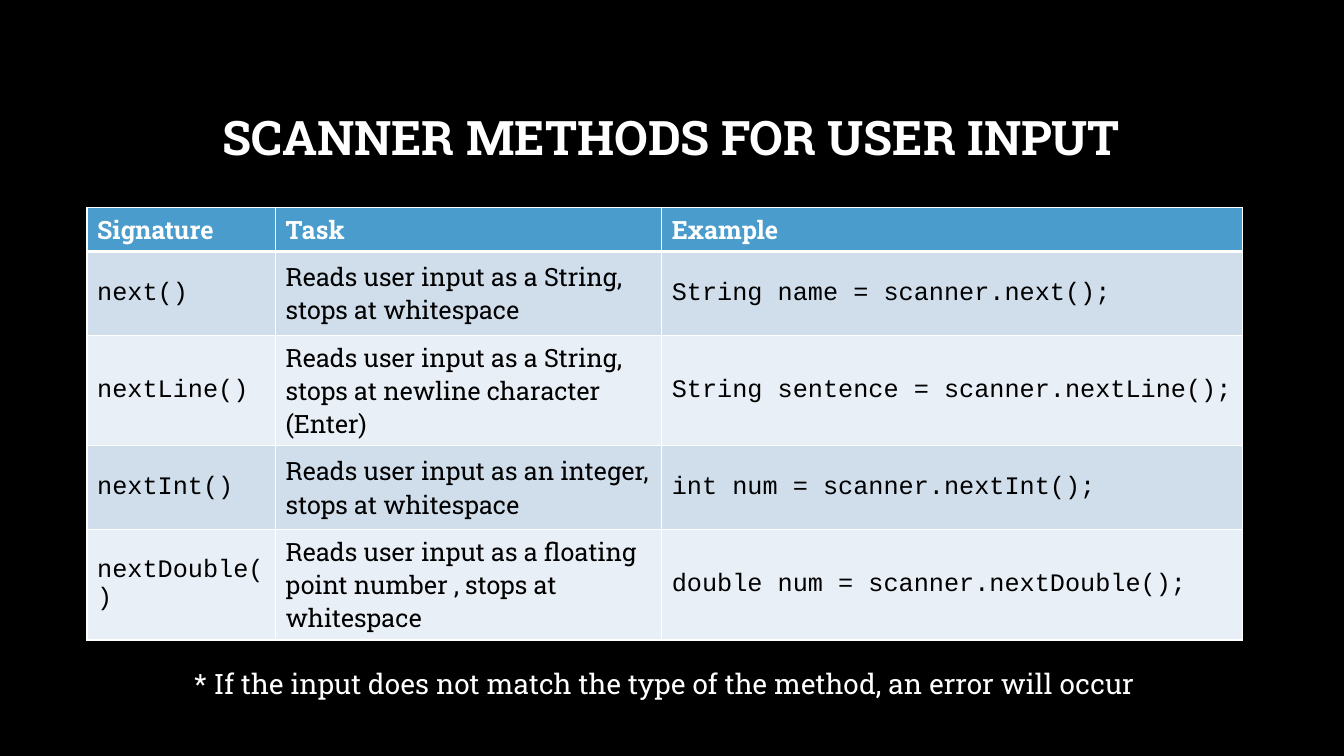
import pptx
import pptx.dml.color
import pptx.enum.text
import pptx.oxml
import pptx.oxml.ns
import pptx.util

SERIF, MONO = "Roboto Slab", "Courier New"
WHITE, BLACK = "FFFFFF", "000000"
HEADER_BLUE = "4A9CCC"
BANDS = ("D0DEEC", "E9EFF6")
MIDDLE = pptx.enum.text.MSO_ANCHOR.MIDDLE
TOP = pptx.enum.text.MSO_ANCHOR.TOP

# Row heights for a header, a two-line and a three-line description
HEADER_ROW, TWO_LINES, THREE_LINES = 5.8, 11.1, 14.6

METHODS = [
    ("Signature", "Task", "Example"),
    ("next()", "Reads user input as a String, stops at whitespace",
     "String name = scanner.next();"),
    ("nextLine()", "Reads user input as a String, stops at newline character (Enter)",
     "String sentence = scanner.nextLine();"),
    ("nextInt()", "Reads user input as an integer, stops at whitespace",
     "int num = scanner.nextInt();"),
    ("nextDouble()", "Reads user input as a floating point number , stops at whitespace",
     "double num = scanner.nextDouble();"),
]


def color(value):
    return pptx.dml.color.RGBColor.from_string(value)


def write(frame, text, size=18, font=SERIF, fill=WHITE, bold=False,
          align=None, line_spacing=None, space_before=None):
    frame.word_wrap = True
    paragraph = frame.paragraphs[0]
    paragraph.alignment = align
    paragraph.line_spacing = line_spacing
    if space_before is not None:
        paragraph.space_before = pptx.util.Pt(space_before)
    run = paragraph.add_run()
    run.text = text
    run.font.size = pptx.util.Pt(size)
    run.font.name = font
    run.font.bold = bold
    run.font.color.rgb = color(fill)


class SlideBuilder:
    """Places elements on a grid of 100 columns by 100 rows."""

    def __init__(self, presentation):
        self.column = presentation.slide_width / 100
        self.row = presentation.slide_height / 100
        self.slide = presentation.slides.add_slide(presentation.slide_layouts[6])
        background = self.slide.background.fill
        background.solid()
        background.fore_color.rgb = color(BLACK)

    def box(self, left, top, width, height):
        return (int(left * self.column), int(top * self.row),
                int(width * self.column), int(height * self.row))

    def text(self, text, left, top, width, height, anchor=TOP, **style):
        shape = self.slide.shapes.add_textbox(*self.box(left, top, width, height))
        shape.text_frame.vertical_anchor = anchor
        write(shape.text_frame, text, align=pptx.enum.text.PP_ALIGN.CENTER, **style)

    def borders(self, cell, **widths):
        properties = cell._tc.get_or_add_tcPr()
        for side in "LRTB":
            width = pptx.util.Pt(widths.get(side, 1))
            properties.append(pptx.oxml.parse_xml(
                f'<a:ln{side} {pptx.oxml.ns.nsdecls("a")} w="{width}"><a:solidFill>'
                f'<a:srgbClr val="{WHITE}"/></a:solidFill></a:ln{side}>'))

    def table(self, rows, left, top, widths, heights):
        frame = self.slide.shapes.add_table(
            len(rows), len(widths), *self.box(left, top, sum(widths), sum(heights)))
        table = frame.table
        for column, width in zip(table.columns, widths):
            column.width = int(width * self.column)
        for row, height in zip(table.rows, heights):
            row.height = int(height * self.row)
        for i, texts in enumerate(rows):
            for j, text in enumerate(texts):
                cell = table.cell(i, j)
                # The heavy rule runs between the header and the first method
                self.borders(cell, **{0: {"B": 3}, 1: {"T": 3}}.get(i, {}))
                cell.fill.solid()
                if i == 0:
                    cell.fill.fore_color.rgb = color(HEADER_BLUE)
                    write(cell.text_frame, text, bold=True)
                else:
                    cell.fill.fore_color.rgb = color(BANDS[(i - 1) % 2])
                    cell.vertical_anchor = MIDDLE
                    write(cell.text_frame, text, fill=BLACK,
                          font=SERIF if j == 1 else MONO)


def main():
    presentation = pptx.Presentation()
    presentation.slide_width = pptx.util.Inches(13.33)
    presentation.slide_height = pptx.util.Inches(7.5)
    builder = SlideBuilder(presentation)

    # Title
    builder.text("SCANNER METHODS FOR USER INPUT", 7.5, 8.93, 84.9, 19.33,
                 anchor=MIDDLE, size=34, bold=True, line_spacing=0.9)

    # Method table
    builder.table(METHODS, 6.48, 27.47, widths=(14.03, 28.73, 43.2),
                  heights=[HEADER_ROW] + [TWO_LINES, THREE_LINES] * 2)

    # Footnote
    builder.text("* If the input does not match the type of the method, an error will occur",
                 6.98, 86.67, 84.9, 6.53, size=20, line_spacing=1.2, space_before=10)

    presentation.save("out.pptx")


if __name__ == "__main__":
    main()
